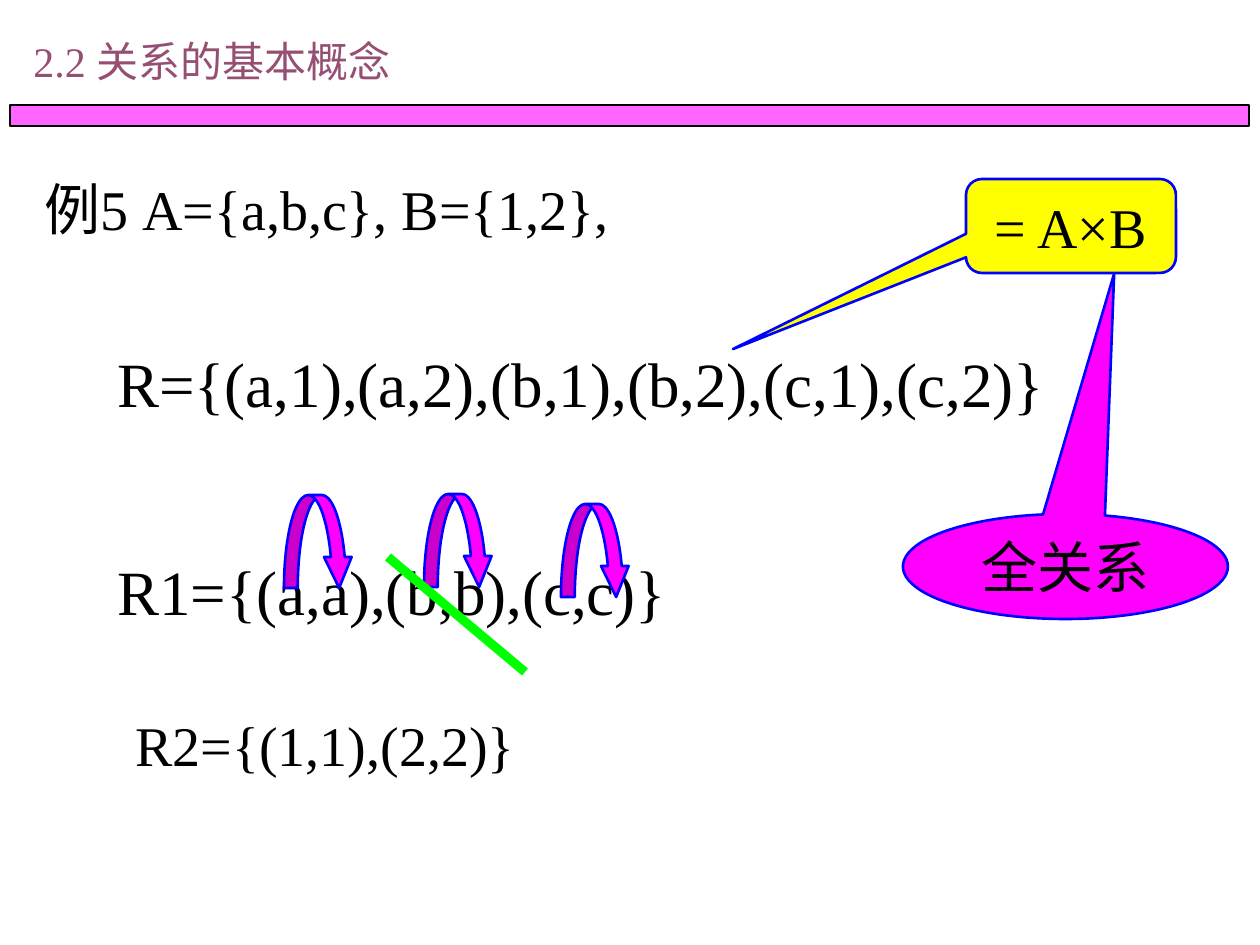
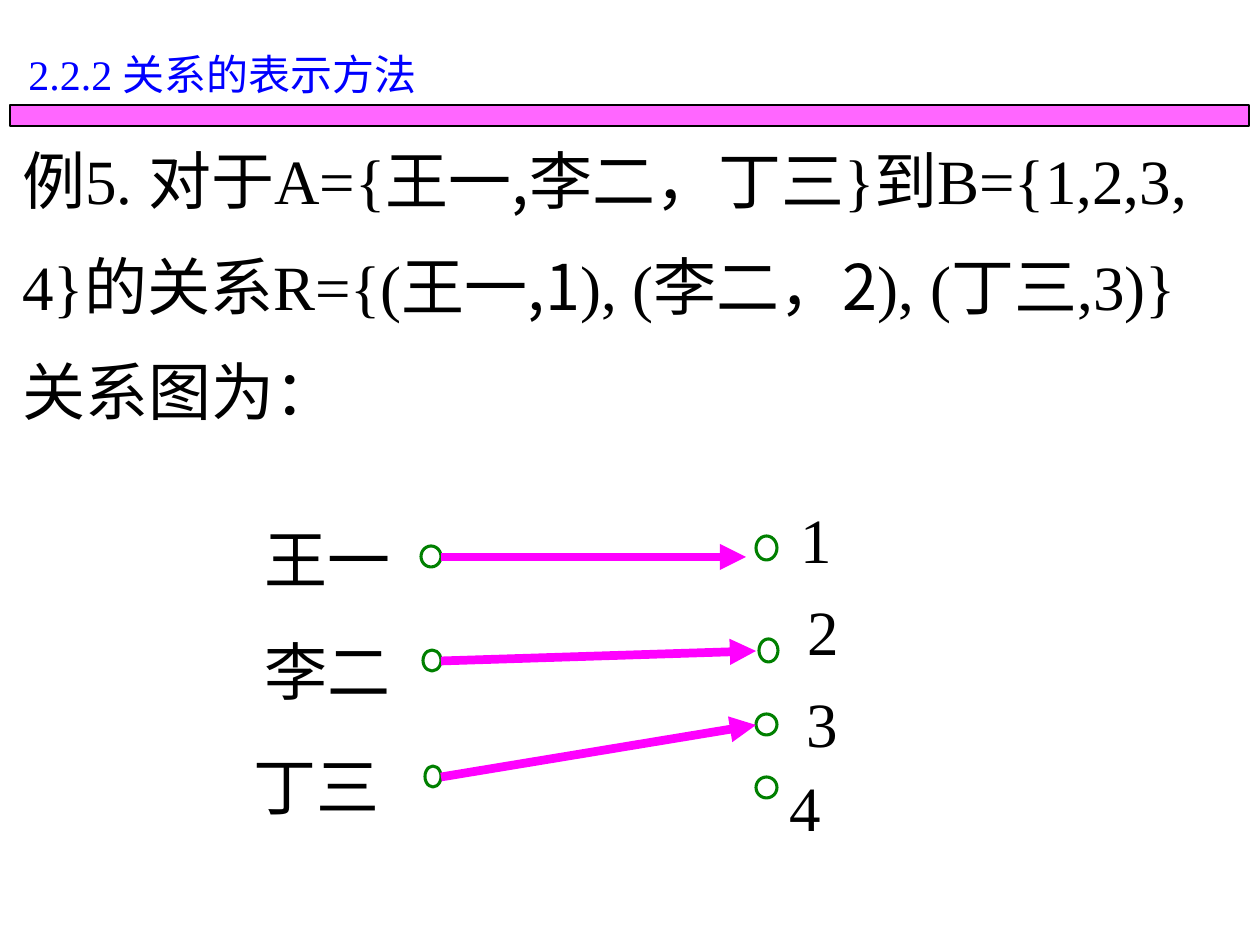
from lxml import etree
from pptx import Presentation
from pptx.dml.color import RGBColor
from pptx.enum.shapes import MSO_CONNECTOR, MSO_SHAPE
from pptx.enum.text import MSO_ANCHOR, PP_ALIGN
from pptx.oxml.ns import qn
from pptx.util import Pt

PX_PER_INCH = 126
EMU_PER_INCH = 914400
RECT = MSO_SHAPE.RECTANGLE
OVAL = MSO_SHAPE.OVAL
ROUND_CALLOUT = MSO_SHAPE.ROUNDED_RECTANGULAR_CALLOUT
OVAL_CALLOUT = MSO_SHAPE.OVAL_CALLOUT
LOOP_ARROW = MSO_SHAPE.CURVED_DOWN_ARROW
STRAIGHT = MSO_CONNECTOR.STRAIGHT
MIDDLE = MSO_ANCHOR.MIDDLE
LEFT, CENTER = PP_ALIGN.LEFT, PP_ALIGN.CENTER

SERIF, HAN, SANS = "Times New Roman", "Noto Sans CJK SC", "Arial"
COLORS = {
    "black": "000000",
    "plum": "954F72",
    "blue": "0000FF",
    "magenta": "FF00FF",
    "yellow": "FFFF00",
    "lime": "00FF00",
    "green": "008000",
}


def px(length):
    return round(length * EMU_PER_INCH / PX_PER_INCH)


def color(name):
    return RGBColor.from_string(COLORS[name])


def write(frame, runs, size=36, ink="black", align=LEFT, spacing=None):
    frame.word_wrap = True
    paragraph = frame.paragraphs[0]
    paragraph.alignment = align
    if spacing:
        paragraph.line_spacing = spacing
    for words, font in runs:
        run = paragraph.add_run()
        run.text = words
        run.font.size = Pt(size)
        run.font.color.rgb = color(ink)
        run.font.name = font
        etree.SubElement(run._r.get_or_add_rPr(), qn("a:ea"), typeface=HAN)


def add_text(slide, box, runs, **text_format):
    label = slide.shapes.add_textbox(*map(px, box))
    write(label.text_frame, runs, **text_format)


def add_figure(slide, kind, box, fill=None, line="blue", width=1.5, adjust=()):
    figure = slide.shapes.add_shape(kind, *map(px, box))
    figure.shadow.inherit = False
    if fill:
        figure.fill.solid()
        figure.fill.fore_color.rgb = color(fill)
    else:
        figure.fill.background()
    figure.line.color.rgb = color(line)
    figure.line.width = Pt(width)
    for index, value in enumerate(adjust):
        figure.adjustments[index] = value
    return figure


def add_callout(slide, kind, box, fill, adjust, runs):
    callout = add_figure(slide, kind, box, fill, adjust=adjust)
    callout.text_frame.vertical_anchor = MIDDLE
    write(callout.text_frame, runs, size=32, align=CENTER)


def add_line(slide, start, end, ink, width, arrow=False):
    line = slide.shapes.add_connector(STRAIGHT, *map(px, start + end))
    line.line.color.rgb = color(ink)
    line.line.width = Pt(width)
    if arrow:
        etree.SubElement(line.line._get_or_add_ln(), qn("a:tailEnd"), type="triangle")
    etree.SubElement(line._element.spPr, qn("a:effectLst"))


def add_band(slide):
    band = add_figure(slide, RECT, (10, 105, 1239, 21), "magenta", "black", 0.75)
    tint = band._element.spPr.find(qn("a:solidFill"))[0]
    etree.SubElement(tint, qn("a:alpha"), val="60000")


def start_slide(prs, box, number, heading, ink):
    slide = prs.slides.add_slide(prs.slide_layouts[6])
    add_band(slide)
    add_text(slide, box, [(number, SERIF), (heading, HAN)], size=24, ink=ink)
    return slide


def build_concepts(prs):
    slide = start_slide(prs, (21, 29, 558, 63), "2.2 ", "关系的基本概念", "plum")
    add_text(slide, (32, 168, 796, 79),
             [("例", HAN), ("5 A={a,b,c}, B={1,2},", SERIF)], size=32)
    add_text(slide, (105, 338, 959, 88),
             [("R={(a,1),(a,2),(b,1),(b,2),(c,1),(c,2)}", SERIF)])
    add_callout(slide, ROUND_CALLOUT, (966, 179, 210, 94), "yellow",
                (-1.61, 1.31, 0.17), [("= A×B", SERIF)])
    add_callout(slide, OVAL_CALLOUT, (903, 514, 325, 105), "magenta",
                (0.15, -2.79), [("全关系", SANS)])
    add_text(slide, (105, 546, 684, 126), [("R1={(a,a),(b,b),(c,c)}", SERIF)])
    for left, top in ((284, 495), (424, 494), (561, 504)):
        add_figure(slide, LOOP_ARROW, (left, top, 69, 93), "magenta",
                   adjust=(0.2, 0.4, 0.45))
    add_text(slide, (123, 704, 621, 113), [("R2={(1,1),(2,2)}", SERIF)], size=32)
    add_line(slide, (388, 557), (525, 672), "lime", 5.25)


def build_relation_graph(prs):
    slide = start_slide(prs, (16, 42, 476, 63), "2.2.2 ", "关系的表示方法", "blue")
    nodes = [
        (421, 546, 20, 21), (423, 650, 18, 21), (425, 766, 16, 21),
        (756, 536, 21, 24), (759, 639, 19, 23), (756, 714, 21, 21),
        (756, 777, 21, 21),
    ]
    for node in nodes:
        add_figure(slide, OVAL, node, line="green", width=1.75)

    people = [("王一", 252, 514), ("李二", 252, 626), ("丁三", 241, 741)]
    for person, left, top in people:
        add_text(slide, (left, top, 266, 88), [(person, HAN)])
    numbers = [("1", 788, 494), ("2", 795, 586), ("3", 794, 678), ("4", 777, 762)]
    for number, left, top in numbers:
        add_text(slide, (left, top, 69, 88), [(number, SERIF)])

    statement = [
        ("例", HAN), ("5. 对于A={", SERIF), ("王一,李二，丁三", HAN),
        ("}", SERIF), ("到", HAN), ("B={1,2,3, 4}", SERIF), ("的关系", HAN),
        ("R={(", SERIF), ("王一,1", HAN), ("), (", SERIF), ("李二，2", HAN),
        ("), (", SERIF), ("丁三", HAN), (",3)}", SERIF), ("关系图为：", HAN),
    ]
    add_text(slide, (10, 105, 1213, 330), statement, spacing=1.4)

    for start_y, end in ((557, (746, 557)), (661, (756, 651)), (777, (756, 725))):
        add_line(slide, (441, start_y), end, "magenta", 5, arrow=True)


def main():
    prs = Presentation()
    prs.slide_width, prs.slide_height = px(1260), px(945)
    build_concepts(prs)
    build_relation_graph(prs)
    prs.save("out.pptx")


if __name__ == "__main__":
    main()
